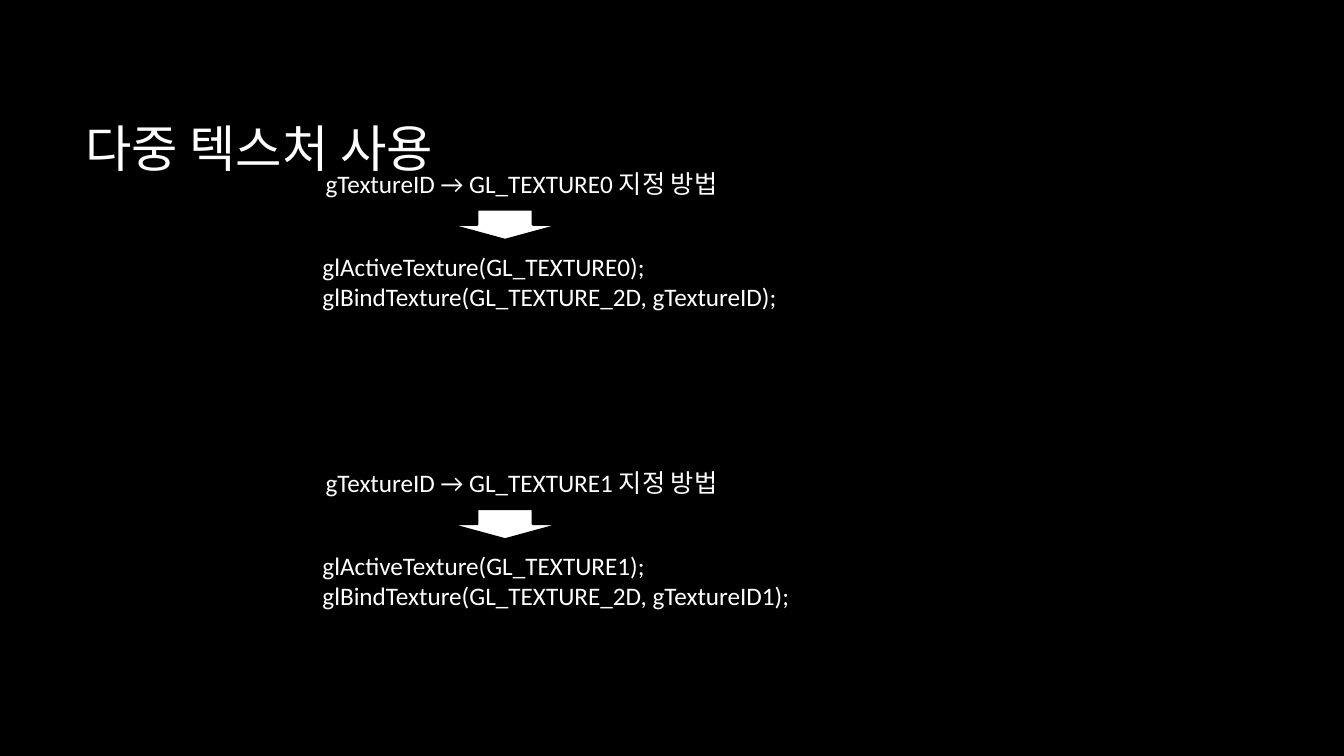
import pptx
import pptx.dml.color
import pptx.enum.shapes
import pptx.enum.text
import pptx.util
from pptx.util import Inches


def color(value):
    return pptx.dml.color.RGBColor.from_string(value)


class Deck:
    font = "Calibri"
    ink = "FFFFFF"
    ground = "000000"

    def __init__(self):
        self.prs = pptx.Presentation()
        self.prs.slide_width = Inches(13.33)
        self.prs.slide_height = Inches(7.5)

    def slide(self):
        self.s = self.prs.slides.add_slide(self.prs.slide_layouts[6])
        fill = self.s.background.fill
        fill.solid()
        fill.fore_color.rgb = color(self.ground)

    def text(self, x, y, w, h, lines, size=18, anchor="TOP"):
        sp = self.s.shapes.add_textbox(Inches(x), Inches(y), Inches(w), Inches(h))
        tf = sp.text_frame
        tf.word_wrap = True
        tf.vertical_anchor = pptx.enum.text.MSO_ANCHOR[anchor]
        tf.text = "\n".join(lines)
        for p in tf.paragraphs:
            p.font.name = self.font
            p.font.size = pptx.util.Pt(size)
            p.font.color.rgb = color(self.ink)

    def down_arrow(self, x, y, w, h):
        sp = self.s.shapes.add_shape(
            pptx.enum.shapes.MSO_SHAPE.DOWN_ARROW,
            Inches(x), Inches(y), Inches(w), Inches(h))
        sp.shadow.inherit = False
        sp.fill.solid()
        sp.fill.fore_color.rgb = color(self.ink)
        sp.line.color.rgb = color(self.ground)
        sp.line.width = pptx.util.Pt(1.5)


def main():
    deck = Deck()
    deck.slide()
    deck.text(0.75, 0.67, 11.08, 1.59, ["다중 텍스처 사용"], 36, "MIDDLE")
    for unit, texture in enumerate(["gTextureID", "gTextureID1"]):
        top = 1.62 + 2.97 * unit
        deck.text(3.13, top, 4.59, 0.4,
                  [f"gTextureID → GL_TEXTURE{unit} 지정 방법"])
        deck.text(3.1, top + 0.82, 7.17, 0.71, [
            f"glActiveTexture(GL_TEXTURE{unit});",
            f"glBindTexture(GL_TEXTURE_2D, {texture});"])
        deck.down_arrow(4.46, top + 0.46, 1.1, 0.3)
    deck.prs.save("out.pptx")


if __name__ == "__main__":
    main()
